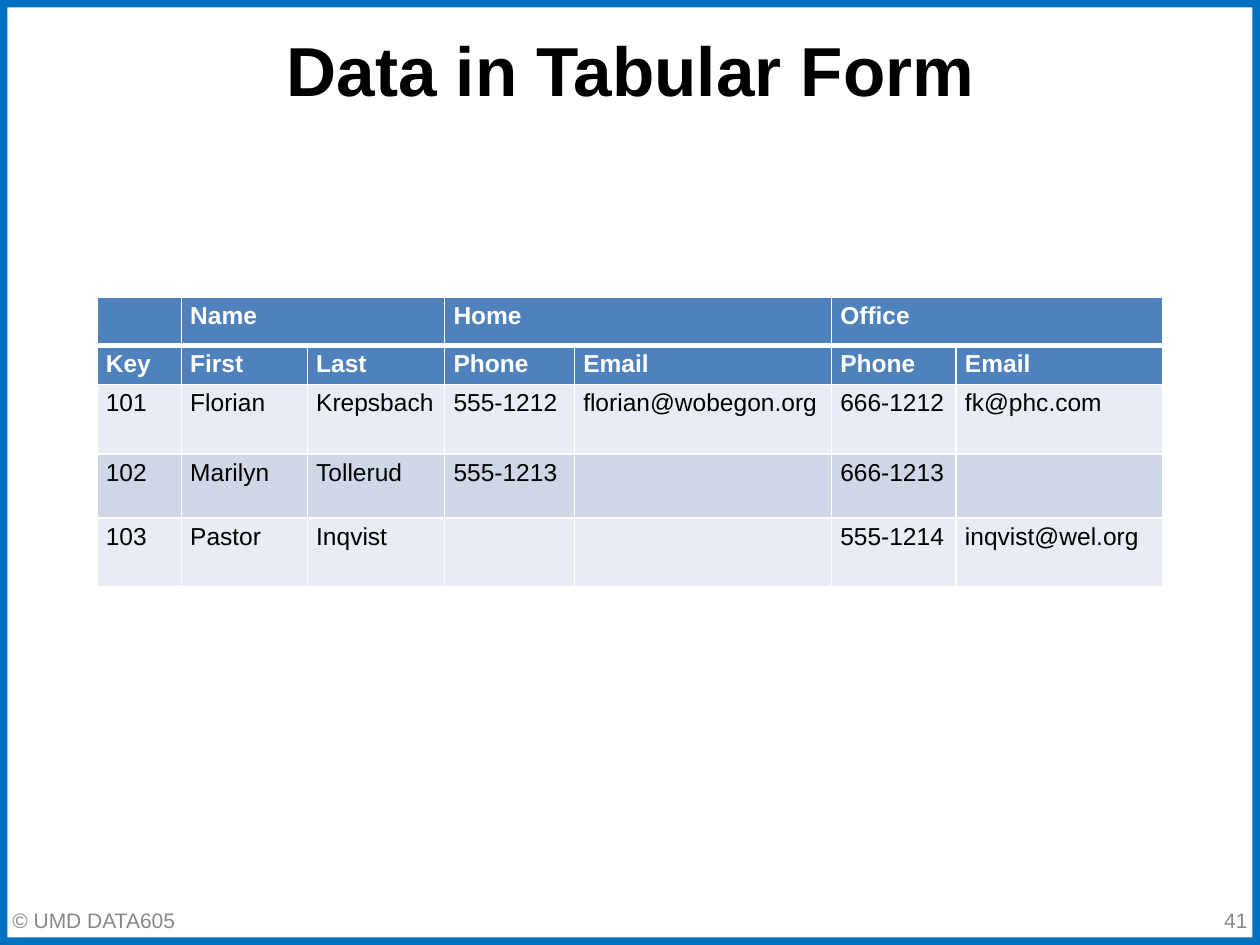
from lxml import etree
from pptx import Presentation
from pptx.dml.color import RGBColor
from pptx.enum.shapes import MSO_SHAPE as SHAPE
from pptx.enum.text import MSO_ANCHOR as ANCHOR, PP_ALIGN as ALIGN
from pptx.oxml.ns import qn
from pptx.util import Inches, Pt

BLUE = RGBColor(0x00, 0x70, 0xC0)
HEADER = RGBColor(0x4F, 0x81, 0xBD)
BAND_LIGHT = RGBColor(0xE8, 0xEC, 0xF4)
BAND_DARK = RGBColor(0xCF, 0xD7, 0xE7)
GRAY = RGBColor(0x88, 0x88, 0x88)
BLACK = RGBColor(0, 0, 0)
WHITE = RGBColor(255, 255, 255)
FONT = "Arial"

COL_WIDTHS = [0.67, 1, 1.09, 1.03, 2.04, 0.99, 1.64]
ROW_HEIGHTS = [0.36, 0.31, 0.55, 0.51, 0.54]
HEADER_ROWS = 2
ROWS = [
    ["", "Name", "", "Home", "", "Office", ""],
    ["Key", "First", "Last", "Phone", "Email", "Phone", "Email"],
    ["101", "Florian", "Krepsbach", "555-1212", "florian@wobegon.org",
     "666-1212", "fk@phc.com"],
    ["102", "Marilyn", "Tollerud", "555-1213", "", "666-1213", ""],
    ["103", "Pastor", "Inqvist", "", "", "555-1214", "inqvist@wel.org"],
]


def format_runs(p, size, color, bold=False):
    for r in p.runs:
        r.font.name = FONT
        r.font.size = Pt(size)
        r.font.bold = bold
        r.font.color.rgb = color


def add_text(slide, box, text, size, color, align=ALIGN.LEFT, bold=False):
    tf = slide.shapes.add_textbox(*map(Inches, box)).text_frame
    tf.word_wrap = True
    tf.vertical_anchor = ANCHOR.MIDDLE
    p = tf.paragraphs[0]
    p.text = text
    p.alignment = align
    format_runs(p, size, color, bold)


def add_frame(slide, width, height):
    s = slide.shapes.add_shape(SHAPE.FRAME, 0, 0, width, height)
    s.adjustments[0] = 0.008
    s.shadow.inherit = False
    s.fill.solid()
    s.fill.fore_color.rgb = BLUE
    s.line.fill.background()


def set_borders(cell, **widths):
    """Draw white borders; widths are points by side: L, R, T, B."""
    tc_pr = cell._tc.get_or_add_tcPr()
    for i, side in enumerate("LRTB"):
        ln = etree.Element(qn(f"a:ln{side}"), w=str(Pt(widths.get(side, 1))))
        fill = etree.SubElement(ln, qn("a:solidFill"))
        etree.SubElement(fill, qn("a:srgbClr"), val=str(WHITE))
        tc_pr.insert(i, ln)


def fill_cell(cell, text, row):
    is_header = row < HEADER_ROWS
    band = BAND_DARK if row % 2 else BAND_LIGHT
    cell.margin_left = cell.margin_right = Inches(0.07)
    cell.margin_top = cell.margin_bottom = Inches(0.04)
    cell.fill.solid()
    cell.fill.fore_color.rgb = HEADER if is_header else band
    if text:
        cell.text = text
        format_runs(cell.text_frame.paragraphs[0], 14,
                    WHITE if is_header else BLACK, is_header)
    # A thick rule separates the group headings from the column headings
    set_borders(cell, B=3 if row == 0 else 1, T=3 if row == 1 else 1)


def add_contacts_table(slide):
    table = slide.shapes.add_table(
        len(ROWS), len(COL_WIDTHS), Inches(0.77), Inches(2.36),
        Inches(sum(COL_WIDTHS)), Inches(sum(ROW_HEIGHTS))).table
    for column, width in zip(table.columns, COL_WIDTHS):
        column.width = Inches(width)
    for row, height in zip(table.rows, ROW_HEIGHTS):
        row.height = Inches(height)
    for i, texts in enumerate(ROWS):
        for j, text in enumerate(texts):
            fill_cell(table.cell(i, j), text, i)
    # Each group heading spans two columns
    for j in (1, 3, 5):
        table.cell(0, j).merge(table.cell(0, j + 1))


def main():
    prs = Presentation()
    prs.slide_width, prs.slide_height = Inches(10), Inches(7.5)
    slide = prs.slides.add_slide(prs.slide_layouts[6])

    # Border and footer
    add_frame(slide, prs.slide_width, prs.slide_height)
    add_text(slide, (0, 7.1, 1.6, 0.4), "© UMD DATA605", 12, GRAY)

    # Title and table
    add_text(slide, (0.17, 0.17, 9.67, 0.75), "Data in Tabular Form", 39.6,
             BLACK, ALIGN.CENTER, bold=True)
    add_contacts_table(slide)

    # Slide number
    add_text(slide, (7.67, 7.1, 2.33, 0.4), "41", 12, GRAY, ALIGN.RIGHT)
    prs.save("out.pptx")


if __name__ == "__main__":
    main()
